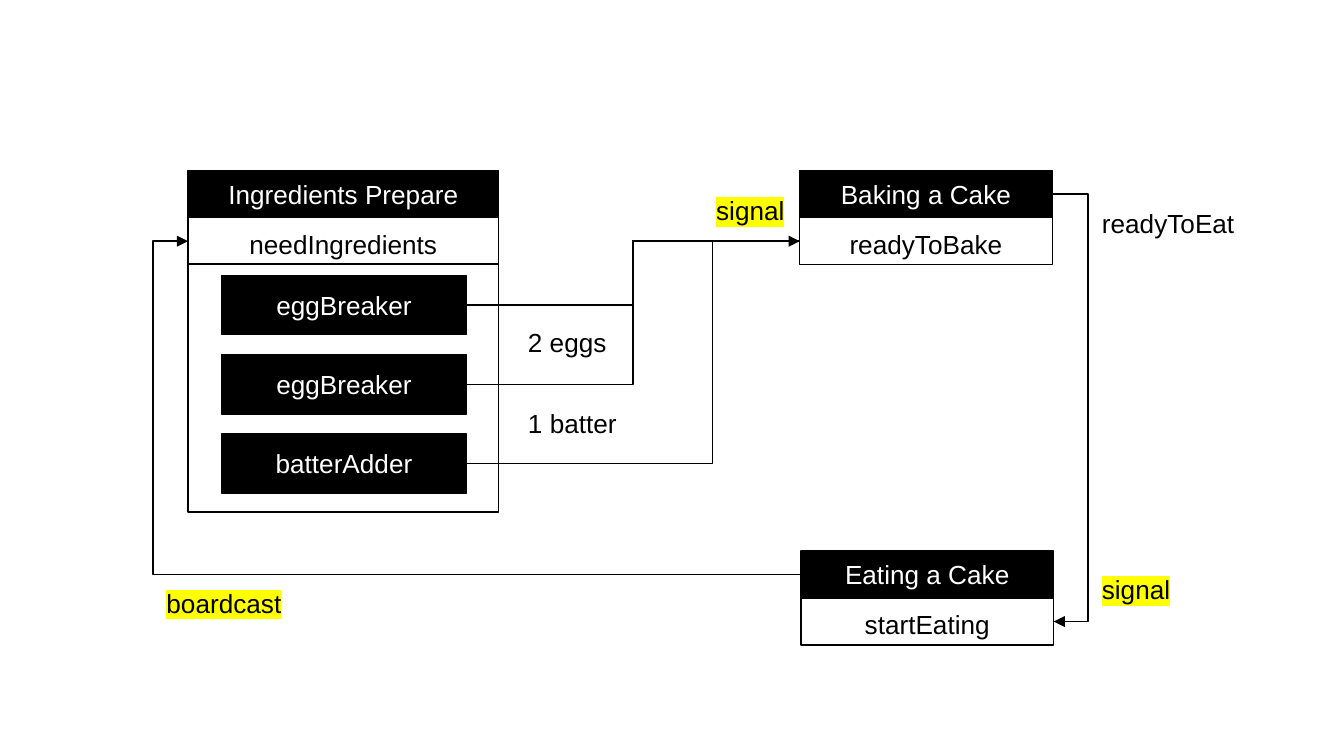
from dataclasses import dataclass

from lxml.etree import SubElement
from pptx import Presentation
from pptx.dml.color import RGBColor
from pptx.enum.shapes import MSO_CONNECTOR, MSO_SHAPE
from pptx.enum.text import MSO_ANCHOR, PP_ALIGN
from pptx.oxml import parse_xml
from pptx.oxml.ns import nsdecls, qn
from pptx.util import Inches, Pt


@dataclass(frozen=True)
class Theme:
    ink: RGBColor = RGBColor(0, 0, 0)
    paper: RGBColor = RGBColor(255, 255, 255)
    marker: str = "FFFF00"
    font: str = "Arial"
    size: Pt = Pt(14)
    line: Pt = Pt(0.75)


THEME = Theme()
TOP, LEFT, BOTTOM, RIGHT = range(4)
SLIDE_WIDTH = Inches(10)
SLIDE_HEIGHT = SLIDE_WIDTH * 9 // 16
ROW_HEIGHT = 0.35
STEP_HEIGHT = 0.44
STEP_PITCH = 0.59


def apply_format(target, values):
    for name, value in values.items():
        setattr(target, name, value)


def write_text(shape, text, color, anchor, align, spacing=None, marked=False):
    frame = shape.text_frame
    margins = {f"margin_{side}": Inches(0.1) for side in ("left", "top", "right", "bottom")}
    apply_format(frame, {"word_wrap": True, "vertical_anchor": anchor, **margins})
    para = frame.paragraphs[0]
    apply_format(para, {"alignment": align, "line_spacing": spacing})
    span = para.add_run()
    span.text = text
    apply_format(span.font, {"name": THEME.font, "size": THEME.size})
    span.font.color.rgb = color
    if marked:
        highlight = parse_xml(
            f'<a:highlight {nsdecls("a")}><a:srgbClr val="{THEME.marker}"/></a:highlight>'
        )
        span.font._element.find(qn("a:solidFill")).addnext(highlight)


def add_box(page, left, top, width, height, filled=False):
    box = page.shapes.add_shape(MSO_SHAPE.RECTANGLE, *map(Inches, (left, top, width, height)))
    box.shadow.inherit = False
    if filled:
        box.fill.solid()
        box.fill.fore_color.rgb = THEME.ink
    else:
        box.fill.background()
    box.line.color.rgb = THEME.ink
    box.line.width = THEME.line
    return box


def add_process(page, left, top, width, title, state):
    header = add_box(page, left, top, width, ROW_HEIGHT, filled=True)
    write_text(header, title, THEME.paper, MSO_ANCHOR.MIDDLE, PP_ALIGN.CENTER)
    entry = add_box(page, left, top + ROW_HEIGHT, width, ROW_HEIGHT)
    write_text(entry, state, THEME.ink, MSO_ANCHOR.MIDDLE, PP_ALIGN.CENTER, 1.15)
    return header, entry


def add_steps(page, left, top, width, names):
    steps = []
    for index, name in enumerate(names):
        step = add_box(page, left, top + index * STEP_PITCH, width, STEP_HEIGHT, filled=True)
        write_text(step, name, THEME.paper, MSO_ANCHOR.TOP, PP_ALIGN.CENTER)
        steps.append(step)
    return steps


def add_link(page, source, source_side, target, target_side, bend, arrow=True):
    link = page.shapes.add_connector(MSO_CONNECTOR.ELBOW, 0, 0, 0, 0)
    link.begin_connect(source, source_side)
    link.end_connect(target, target_side)
    link.line.color.rgb = THEME.ink
    link.line.width = THEME.line
    share = (Inches(bend) - link.begin_x) / (link.end_x - link.begin_x)
    properties = link._element.spPr
    guides = properties.find(qn("a:prstGeom")).get_or_add_avLst()
    SubElement(guides, qn("a:gd"), name="adj1", fmla=f"val {round(share * 100000)}")
    if arrow:
        SubElement(link.line._get_or_add_ln(), qn("a:tailEnd"), type="triangle")
    SubElement(properties, qn("a:effectLst"))


def add_label(page, left, top, width, text, marked=False):
    box = page.shapes.add_textbox(*map(Inches, (left, top, width, STEP_HEIGHT)))
    write_text(box, text, THEME.ink, MSO_ANCHOR.TOP, PP_ALIGN.LEFT, marked=marked)


def main():
    deck = Presentation()
    apply_format(deck, {"slide_width": SLIDE_WIDTH, "slide_height": SLIDE_HEIGHT})
    page = deck.slides.add_slide(deck.slide_layouts[6])

    add_box(page, 1.4, 1.96, 2.31, 1.85)
    _, need = add_process(page, 1.4, 1.27, 2.31, "Ingredients Prepare", "needIngredients")
    first_egg, second_egg, batter = add_steps(
        page, 1.65, 2.05, 1.82, ("eggBreaker", "eggBreaker", "batterAdder")
    )
    baking, ready = add_process(page, 5.95, 1.27, 1.88, "Baking a Cake", "readyToBake")
    eating, start = add_process(page, 5.96, 4.1, 1.88, "Eating a Cake", "startEating")

    add_link(page, first_egg, RIGHT, ready, LEFT, 4.71, arrow=False)
    add_link(page, second_egg, RIGHT, ready, LEFT, 4.71)
    add_link(page, baking, RIGHT, start, RIGHT, 8.1)
    add_link(page, eating, LEFT, need, LEFT, 1.14)
    add_link(page, batter, RIGHT, ready, LEFT, 5.3, arrow=False)

    add_label(page, 3.83, 2.33, 0.8, "2 eggs")
    add_label(page, 3.83, 2.93, 0.92, "1 batter")
    add_label(page, 5.23, 1.35, 0.71, "signal", marked=True)
    add_label(page, 8.1, 4.17, 0.71, "signal", marked=True)
    add_label(page, 1.14, 4.27, 1.12, "boardcast", marked=True)
    add_label(page, 8.1, 1.44, 1.22, "readyToEat")

    deck.save("out.pptx")


if __name__ == "__main__":
    main()
